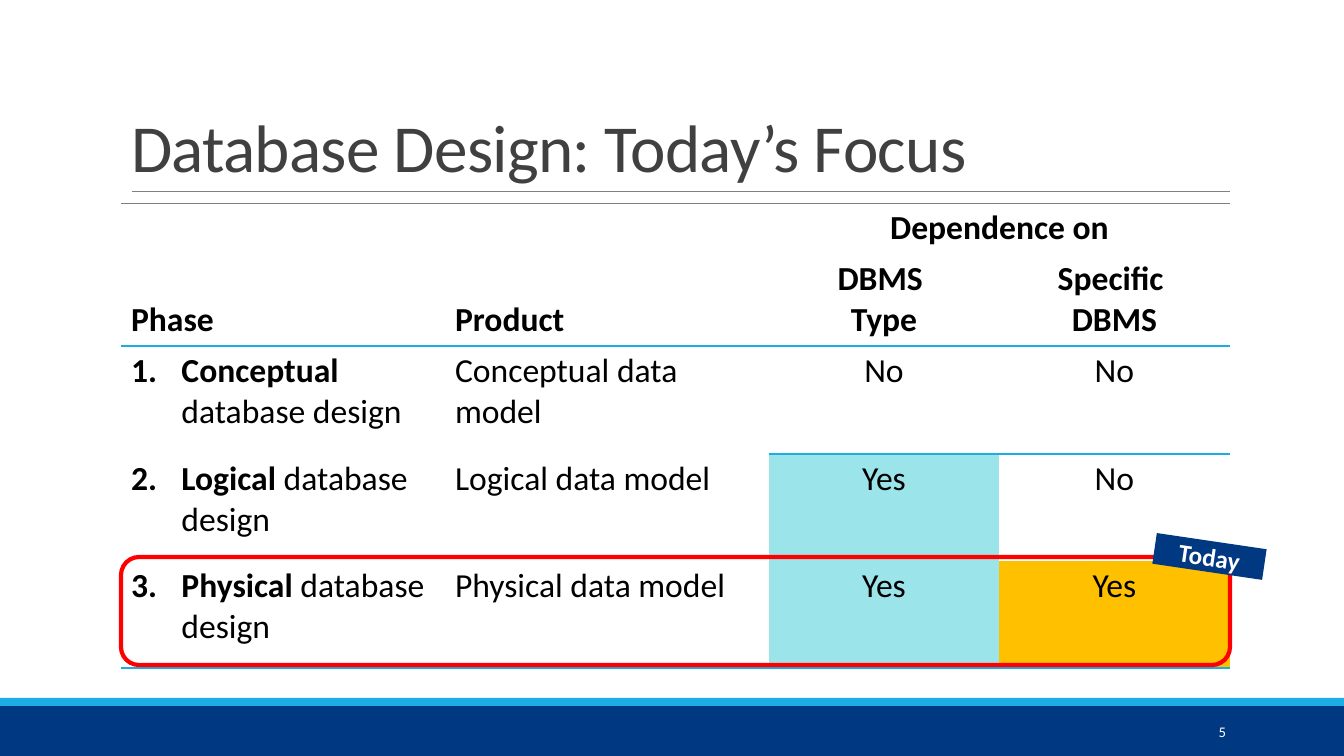
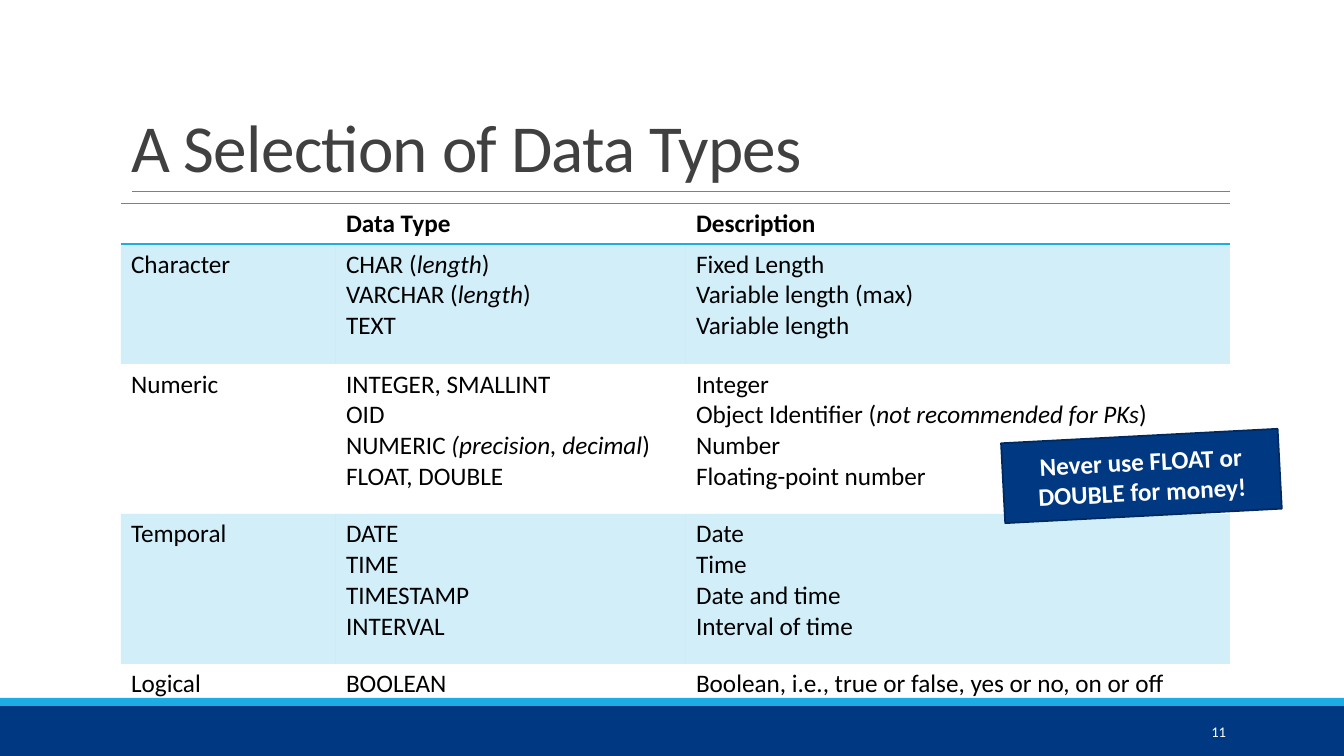
from dataclasses import dataclass, replace
from itertools import accumulate
from typing import NamedTuple

from lxml import etree
from pptx import Presentation
from pptx.dml.color import RGBColor
from pptx.enum.shapes import MSO_CONNECTOR as Connector, MSO_SHAPE as Preset
from pptx.enum.text import MSO_ANCHOR as Anchor, PP_ALIGN as Align
from pptx.oxml.ns import qn
from pptx.util import Emu, Pt

WIDTH, HEIGHT = 1344, 756
SCALE = 12192000 / WIDTH
FONT = "Calibri"
PLAIN_TABLE_STYLE = "{2D5ABB26-0587-4C30-8999-92F81FD0307C}"
LEFT, TABLE_TOP = 121, 203
COLORS = {
    "navy": "003882",
    "navy_edge": "002960",
    "sky": "1CADE4",
    "aqua": "9BE4EA",
    "amber": "FFC000",
    "red": "FF0000",
    "gray": "808080",
    "title": "404040",
    "black": "000000",
    "white": "FFFFFF",
}


class Box(NamedTuple):
    left: int
    top: int
    width: int
    height: int

    def emu(self) -> tuple:
        return tuple(px(length) for length in self)


class Border(NamedTuple):
    color: str
    points: float = 1


@dataclass(frozen=True)
class CellStyle:
    text: str = ""
    bold: bool = False
    align: Align = Align.LEFT
    anchor: Anchor = Anchor.TOP
    fill: str = ""
    opacity: int = 100
    top: Border | None = None
    bottom: Border | None = None
    number: int = 0


@dataclass(frozen=True)
class Label:
    text: str
    box: Box
    rotation: float
    line: str = ""


def px(length: int) -> Emu:
    return Emu(round(length * SCALE))


def rgb(name: str) -> RGBColor:
    return RGBColor.from_string(COLORS[name])


def write(frame, text: str, *, size: float, color: str = "black", bold: bool = False,
          emphasis: str = "bold", align: Align = Align.LEFT, anchor: Anchor | None = None,
          line_spacing: float = 1, tracking: int = 0, number: int = 0) -> None:
    frame.word_wrap = True
    if anchor is not None:
        frame.vertical_anchor = anchor
    for index, content in enumerate(text.split("\n")):
        paragraph = frame.add_paragraph() if index else frame.paragraphs[0]
        paragraph.alignment = align
        paragraph.line_spacing = line_spacing
        if number:
            properties = paragraph._p.get_or_add_pPr()
            properties.set("marL", "457200")
            properties.set("indent", "-457200")
            etree.SubElement(properties, qn("a:buAutoNum"), type="arabicPeriod", startAt=str(number))
        for part_index, part in enumerate(content.split("*")):
            for line_index, line in enumerate(part.split("\v")):
                if line_index:
                    paragraph.add_line_break()
                if not line:
                    continue
                run = paragraph.add_run()
                run.text = line
                run.font.name = FONT
                run.font.size = Pt(size)
                run.font.bold = bold
                run.font.color.rgb = rgb(color)
                if part_index % 2:
                    setattr(run.font, emphasis, True)
                if tracking:
                    run._r.get_or_add_rPr().set("spc", str(tracking))


def add_box(slide, box: Box, *, preset: Preset = Preset.RECTANGLE, fill: str = "",
            line: str = "", points: float = 1):
    shape = slide.shapes.add_shape(preset, *box.emu())
    shape.shadow.inherit = False
    if fill:
        shape.fill.solid()
        shape.fill.fore_color.rgb = rgb(fill)
    else:
        shape.fill.background()
    if line:
        shape.line.color.rgb = rgb(line)
        shape.line.width = Pt(points)
    else:
        shape.line.fill.background()
    return shape


def add_label(slide, label: Label) -> None:
    shape = add_box(slide, label.box, fill="navy", line=label.line, points=1.25)
    shape.rotation = label.rotation
    write(shape.text_frame, label.text, size=18, color="white", bold=True,
          align=Align.CENTER, anchor=Anchor.MIDDLE)


def add_base_slide(presentation, title: str, number: int):
    slide = presentation.slides.add_slide(presentation.slide_layouts[5])
    add_box(slide, Box(0, 706, WIDTH, 50), fill="navy")
    add_box(slide, Box(0, 698, WIDTH, 8), fill="sky")
    rule = slide.shapes.add_connector(Connector.STRAIGHT, px(132), px(191), px(1230), px(191))
    rule.line.color.rgb = rgb("gray")
    rule.line.width = Pt(0.5)
    etree.SubElement(rule._element.spPr, qn("a:effectLst"))
    heading = slide.shapes.title
    heading.left, heading.top, heading.width, heading.height = Box(LEFT, 31, 1109, 160).emu()
    write(heading.text_frame, title, size=48, color="title", anchor=Anchor.BOTTOM,
          line_spacing=0.85, tracking=-50)
    footer = slide.shapes.add_textbox(*Box(1092, 712, 144, 40).emu())
    write(footer.text_frame, str(number), size=10.5, color="white", align=Align.RIGHT,
          anchor=Anchor.MIDDLE)
    return slide


def set_border(cell, tag: str, border: Border | None) -> None:
    line = etree.SubElement(cell._tc.get_or_add_tcPr(), qn(tag))
    if border is None:
        etree.SubElement(line, qn("a:noFill"))
        return
    line.set("w", str(Pt(border.points)))
    fill = etree.SubElement(line, qn("a:solidFill"))
    etree.SubElement(fill, qn("a:srgbClr"), val=COLORS[border.color])


def format_cell(cell, style: CellStyle, size: int, emphasis: str) -> None:
    cell.vertical_anchor = style.anchor
    for tag, border in (("a:lnL", None), ("a:lnR", None),
                        ("a:lnT", style.top), ("a:lnB", style.bottom)):
        set_border(cell, tag, border)
    if style.fill:
        cell.fill.solid()
        cell.fill.fore_color.rgb = rgb(style.fill)
        if style.opacity < 100:
            color = cell._tc.tcPr.find(qn("a:solidFill")).find(qn("a:srgbClr"))
            etree.SubElement(color, qn("a:alpha"), val=str(style.opacity * 1000))
    else:
        cell.fill.background()
    write(cell.text_frame, style.text, size=size, bold=style.bold, emphasis=emphasis,
          align=style.align, number=style.number)


def add_grid(slide, widths: list[int], heights: list[int], rows: list[list[CellStyle]], *,
             size: int, emphasis: str):
    box = Box(LEFT, TABLE_TOP, sum(widths), sum(heights))
    table = slide.shapes.add_table(len(heights), len(widths), *box.emu()).table
    table.first_row = table.horz_banding = False
    table._tbl.tblPr.find(qn("a:tableStyleId")).text = PLAIN_TABLE_STYLE
    for column, width in zip(table.columns, widths):
        column.width = px(width)
    edges = [0, *accumulate(heights)]
    for row, start, end in zip(table.rows, edges, edges[1:]):
        row.height = px(end) - px(start)
    for row_index, row in enumerate(rows):
        for column_index, style in enumerate(row):
            format_cell(table.cell(row_index, column_index), style, size, emphasis)
    return table


def build_focus_slide(presentation) -> None:
    slide = add_base_slide(presentation, "Database Design: Today’s Focus", 5)
    sky, gray = Border("sky"), Border("gray", 0.5)
    header = CellStyle(bold=True, anchor=Anchor.BOTTOM)
    center = CellStyle(align=Align.CENTER)
    top_header = replace(header, top=gray)
    low_header = replace(header, bottom=sky)
    group = replace(top_header, align=Align.CENTER, anchor=Anchor.TOP)
    rows = [
        [replace(top_header, text="Phase", bottom=sky), replace(top_header, text="Product", bottom=sky),
         replace(group, text="Dependence on"), group],
        [low_header, low_header] + [
            replace(low_header, text=text, align=Align.CENTER, anchor=Anchor.TOP)
            for text in ("DBMS \vType", "Specific \vDBMS")
        ],
    ]
    phases = [
        ("Conceptual", ("No", ""), ("No", "")),
        ("Logical", ("Yes", "aqua"), ("No", "")),
        ("Physical", ("Yes", "aqua"), ("Yes", "amber")),
    ]
    divider = Border("sky", 1.5)
    for number, (phase, *answers) in enumerate(phases, 1):
        bottom = sky if number == len(phases) else None
        rows.append([
            CellStyle(f"*{phase}* database design", number=number, bottom=bottom),
            CellStyle(f"{phase} data model", bottom=bottom),
            *(replace(center, text=text, fill=fill,
                      top={1: sky, 2: divider}.get(number),
                      bottom=divider if number == 1 else bottom)
              for text, fill in answers),
        ])
    table = add_grid(slide, [324, 324, 230, 231], [51, 92, 108, 107, 107], rows,
                     size=24, emphasis="bold")
    for column in (0, 1):
        table.cell(0, column).merge(table.cell(1, column))
    table.cell(0, 2).merge(table.cell(0, 3))
    add_box(slide, Box(LEFT, 557, 1109, 108), preset=Preset.ROUNDED_RECTANGLE, line="red", points=3)
    add_label(slide, Label("Today", Box(1154, 541, 111, 31), 8.4))


def build_types_slide(presentation) -> None:
    slide = add_base_slide(presentation, "A Selection of Data Types", 11)
    sky, gray = Border("sky"), Border("gray", 0.5)
    types = [
        ("Character", "CHAR (*length*)\nVARCHAR (*length*)\nTEXT",
         "Fixed Length\nVariable length (max)\nVariable length"),
        ("Numeric", "INTEGER, SMALLINT\nOID\nNUMERIC *(precision, decimal*)\nFLOAT, DOUBLE",
         "Integer\nObject Identifier (*not recommended for PKs*)\nNumber\nFloating-point number"),
        ("Temporal", "DATE\nTIME\nTIMESTAMP\nINTERVAL",
         "Date\nTime\nDate and time\nInterval of time"),
        ("Logical", "BOOLEAN", "Boolean, i.e., true or false, yes or no, on or off"),
    ]
    rows = [[CellStyle(text, bold=True, top=gray, bottom=sky)
             for text in ("", "Data Type", "Description")]]
    for index, texts in enumerate(types):
        style = CellStyle(
            fill="" if index % 2 else "sky", opacity=20,
            top=None if index else sky,
            bottom=sky if index == len(types) - 1 else None,
        )
        rows.append([replace(style, text=text) for text in texts])
    add_grid(slide, [215, 350, 544], [41, 120, 150, 150, 41], rows, size=18, emphasis="italic")
    add_label(slide, Label("Never use FLOAT or DOUBLE for money!", Box(1003, 436, 277, 80),
                           357, "navy_edge"))


def main() -> None:
    presentation = Presentation()
    presentation.slide_width, presentation.slide_height = px(WIDTH), px(HEIGHT)
    build_focus_slide(presentation)
    build_types_slide(presentation)
    presentation.save("out.pptx")


if __name__ == "__main__":
    main()
